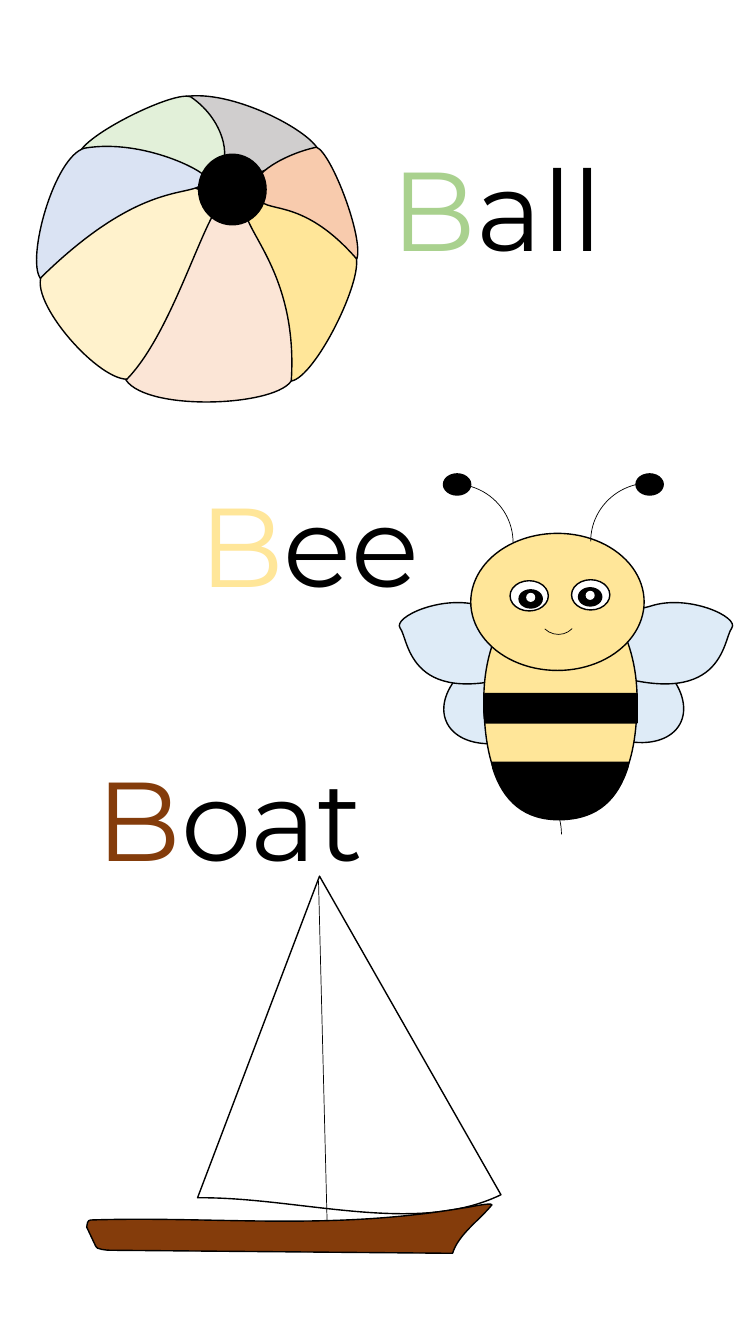
"""Draws a tall alphabet card for the letter B: ball, bee and boat."""
from lxml import etree
from pptx import Presentation
from pptx import util as u
from pptx.dml.color import RGBColor
from pptx.enum import shapes, text
from pptx.oxml.ns import qn

COLORS = {
    "black": "000000", "white": "FFFFFF", "brown": "843C0B", "yellow": "FFE699",
    "green": "A9D18E", "wing": "DEEBF7", "gray": "D0CECE", "cream": "FFF2CC",
    "pink": "FBE5D6", "orange": "F8CBAD", "mint": "E2F0D9", "blue": "DAE3F3",
}


class Card:
    """Holds the slide, its style and the group being drawn."""

    font, size, thick, thin, steps = "Montserrat", 80, 1, 0.5, 40

    def __init__(self, prs):
        self.s = prs.slides.add_slide(prs.slide_layouts[6])
        self.target = self.s.shapes

    def group(self):
        """Starts a group that takes the next shapes."""
        self.target = self.s.shapes.add_group_shape().shapes

    def ungroup(self):
        """Returns to drawing straight on the slide."""
        self.target = self.s.shapes

    def color(self, name):
        """Looks up a named colour."""
        return RGBColor.from_string(COLORS[name])

    def style(self, sp, fill, line):
        """Sets fill and black outline; None leaves either out."""
        sp.shadow.inherit = False
        if fill:
            sp.fill.solid()
            sp.fill.fore_color.rgb = self.color(fill)
        else:
            sp.fill.background()
        if line:
            sp.line.color.rgb = self.color("black")
            sp.line.width = u.Pt(line)
        else:
            sp.line.fill.background()

    def word(self, x, y, w, h, rest, color):
        """Writes a word with a coloured initial B."""
        tf = self.target.add_textbox(*map(u.Inches, (x, y, w, h))).text_frame
        tf.word_wrap = True
        tf.auto_size = text.MSO_AUTO_SIZE.SHAPE_TO_FIT_TEXT
        p = tf.paragraphs[0]
        p.font.name, p.font.size = self.font, u.Pt(self.size)
        for part, name in (("B", color), (rest, "black")):
            r = p.add_run()
            r.text = part
            r.font.color.rgb = self.color(name)

    def oval(self, x, y, w, h, fill, line=thick, rotation=0):
        """Adds an ellipse."""
        sp = self.target.add_shape(shapes.MSO_SHAPE.OVAL, *map(u.Inches, (x, y, w, h)))
        sp.rotation = rotation
        self.style(sp, fill, line)

    def arc(self, x, y, w, h, start=270, end=0, rotation=0):
        """Adds a thin arc between two angles in degrees."""
        sp = self.target.add_shape(shapes.MSO_SHAPE.ARC, *map(u.Inches, (x, y, w, h)))
        for i, angle in enumerate((start, end)):
            sp.adjustments[i] = angle * 0.6
        sp.rotation = rotation
        self.style(sp, None, self.thin)

    def line(self, x1, y1, x2, y2):
        """Adds a thin straight line."""
        sp = self.target.add_connector(
            shapes.MSO_CONNECTOR.STRAIGHT, *map(u.Inches, (x1, y1, x2, y2)))
        sp.line.color.rgb = self.color("black")
        sp.line.width = u.Pt(self.thin)
        etree.SubElement(sp._element.spPr, qn("a:effectLst"))

    def bounds(self, start, segments):
        """Finds the left, top, right and bottom of an outline."""
        points = [start]
        for seg in segments:
            if len(seg) == 6:
                ctrl = (points[-1], seg[:2], seg[2:4], seg[4:])
                for t in (i / self.steps for i in range(1, self.steps)):
                    weights = ((1 - t) ** 3, 3 * t * (1 - t) ** 2, 3 * t * t * (1 - t), t ** 3)
                    points.append(tuple(
                        sum(k * c[axis] for k, c in zip(weights, ctrl)) for axis in (0, 1)))
            points.append(seg[-2:])
        xs, ys = zip(*points)
        return min(xs), min(ys), max(xs), max(ys)

    def outline(self, fill, start, *segments):
        """Adds a closed outline; two numbers make a line, six a Bezier curve."""
        left, top, right, bottom = map(u.Inches, self.bounds(start, segments))
        fb = self.target.build_freeform(left, top)
        fb.add_line_segments([(right, top), (right, bottom)], close=True)
        sp = fb.convert_to_shape()
        path = sp._element.spPr.find(".//" + qn("a:path"))
        for child in list(path):
            path.remove(child)
        for i, seg in enumerate((start, *segments)):
            tag = "a:moveTo" if i == 0 else "a:lnTo" if len(seg) == 2 else "a:cubicBezTo"
            step = etree.SubElement(path, qn(tag))
            for x, y in zip(seg[::2], seg[1::2]):
                etree.SubElement(step, qn("a:pt"), x=str(u.Inches(x) - left),
                                 y=str(u.Inches(y) - top))
        etree.SubElement(path, qn("a:close"))
        self.style(sp, fill, self.thick)


def draw_boat(card):
    """Draws the boat and its word."""
    card.group()
    card.word(0.86, 7.38, 3.27, 1.45, "oat", "brown")
    card.outline("white", (1.96, 11.88), (3.17, 8.69), (4.97, 11.85),
                 (4.12, 12.26, 2.97, 11.87, 1.96, 11.88))
    card.line(3.16, 8.74, 3.25, 12.32)
    card.outline("brown", (0.86, 12.17), (0.86, 12.14, 0.87, 12.1, 0.9, 12.1),
                 (2.13, 12.06, 3.24, 12.21, 4.6, 11.98),
                 (4.63, 11.98, 4.88, 11.92, 4.88, 11.95),
                 (4.75, 12.11, 4.55, 12.24, 4.49, 12.43), (1.09, 12.4),
                 (1.06, 12.4, 0.95, 12.39, 0.95, 12.36), (0.86, 12.17))


def draw_bee(card):
    """Draws the bee and its word."""
    card.group()
    card.word(1.88, 4.67, 2.91, 1.58, "ee", "yellow")
    wing = ((5.94, 6.65), (7.19, 7.08, 7.17, 6.34, 7.26, 6.23),
            (7.34, 6.12, 6.83, 5.89, 6.46, 6.01), (6.1, 6.12, 4.69, 6.21, 5.94, 6.65))
    mirrored = [tuple(11.23 - v if i % 2 == 0 else v for i, v in enumerate(seg))
                for seg in wing]
    for x, y, rotation, upper in ((5.45, 6.4, 28.7, wing), (4.37, 6.43, 336.3, mirrored)):
        card.oval(x, y, 1.38, 0.9, "wing", rotation=rotation)
        card.outline("wing", *upper)
    card.arc(4.39, 7.67, 1.18, 1.21)
    card.outline("yellow", (5.56, 8.11), (4.97, 8.13, 4.8, 7.58, 4.8, 6.93),
                 (4.8, 6.29, 5.14, 5.76, 5.56, 5.76), (5.98, 5.76, 6.32, 6.29, 6.32, 6.93),
                 (6.32, 7.58, 6.15, 8.09, 5.56, 8.11))
    card.oval(4.67, 5.29, 1.72, 1.36, "yellow")
    card.arc(5.86, 4.79, 1.18, 1.16, 180, 270)
    card.arc(3.91, 4.8, 1.18, 1.16)
    for x in (6.31, 4.4):
        card.oval(x, 4.7, 0.27, 0.21, "black")
    for x, y in ((5.67, 5.75), (5.06, 5.76)):
        card.oval(x, y, 0.38, 0.3, "white")
    card.arc(5.34, 5.91, 0.39, 0.38, 0, 90, 43.5)
    for x, y in ((5.15, 5.85), (5.74, 5.83)):
        card.oval(x, y, 0.23, 0.18, "black")
        card.oval(x + 0.07, y + 0.03, 0.09, 0.09, "white", None)
    card.outline("black", (4.88, 7.56), (6.24, 7.56), (6.23, 7.61),
                 (6.13, 7.92, 5.94, 8.12, 5.57, 8.13), (5.2, 8.14, 4.99, 7.94, 4.89, 7.62),
                 (4.88, 7.56))
    card.outline("black", (4.81, 6.88), (6.32, 6.88), (6.32, 7),
                 (6.32, 7.05, 6.32, 7.1, 6.32, 7.15), (6.32, 7.17), (4.81, 7.17),
                 (4.81, 7.15), (4.8, 7.1, 4.8, 7.05, 4.8, 7), (4.81, 6.88))


def draw_ball(card):
    """Draws the ball and its word."""
    card.ungroup()
    card.word(3.79, 1.33, 2.67, 1.45, "all", "green")
    card.group()
    panels = (
        ("gray", (3.16, 1.49), (3.07, 1.29, 2.29, 0.88, 1.83, 0.96),
         (2.26, 1.22, 2.12, 1.72, 2.38, 1.64), (2.6, 1.86, 2.64, 1.56, 3.16, 1.49)),
        ("cream", (0.41, 2.74), (0.3, 3.03, 1.06, 3.87, 1.32, 3.75),
         (1.54, 3.52, 2.44, 2.02, 2.02, 1.99), (2.08, 1.53, 0.53, 2.44, 0.41, 2.74)),
        ("pink", (1.25, 3.77), (1.47, 4.09, 2.78, 4.03, 2.9, 3.76),
         (3.07, 3.22, 2.56, 1.9, 2.32, 2.02), (2.13, 1.67, 1.8, 3.22, 1.25, 3.77)),
        ("yellow", (2.89, 3.78), (3.13, 3.74, 3.61, 2.77, 3.53, 2.54),
         (3.23, 2.2, 2.55, 1.79, 2.49, 1.98), (2.23, 2.17, 2.97, 2.56, 2.89, 3.78)),
        ("orange", (3.54, 2.57), (3.61, 2.36, 3.29, 1.52, 3.14, 1.46),
         (2.85, 1.52, 2.46, 1.73, 2.55, 1.88), (2.55, 2.19, 2.92, 1.86, 3.54, 2.57)),
        ("mint", (0.79, 1.51), (0.89, 1.31, 1.73, 0.9, 1.89, 0.96),
         (2.26, 1.21, 2.3, 1.65, 2.14, 1.7), (1.92, 1.92, 1.83, 1.34, 0.79, 1.51)),
        ("blue", (0.4, 2.76), (0.26, 2.56, 0.54, 1.55, 0.84, 1.47),
         (1.43, 1.37, 2.08, 1.72, 2.04, 1.77), (1.98, 2.01, 1.5, 1.68, 0.4, 2.76)),
    )
    for panel in panels:
        card.outline(*panel)
    card.oval(1.97, 1.53, 0.67, 0.7, "black")


prs = Presentation()
prs.slide_width, prs.slide_height = u.Inches(7.5), u.Inches(13.33)
deck = Card(prs)
for draw in (draw_boat, draw_bee, draw_ball):
    draw(deck)
prs.save("out.pptx")
